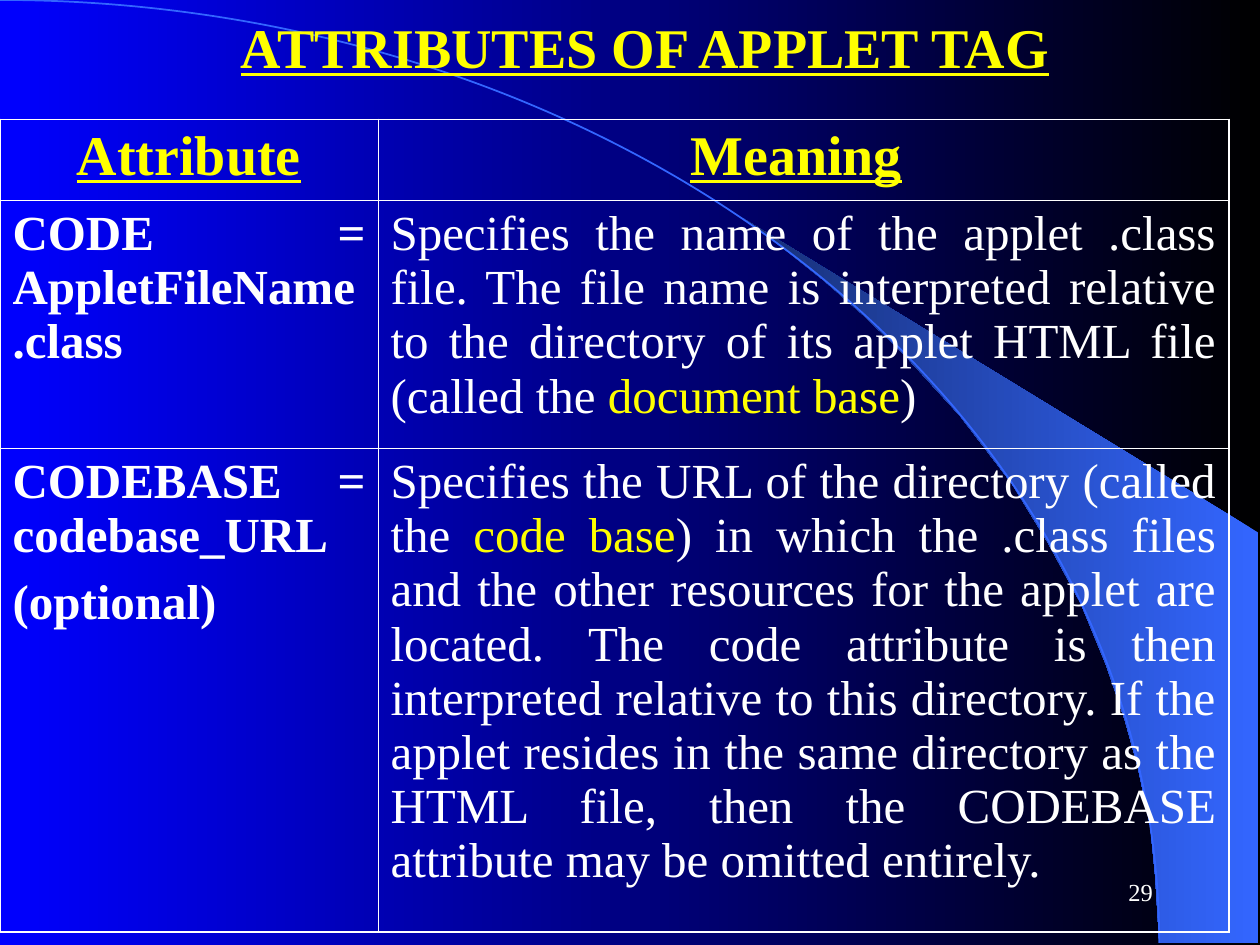
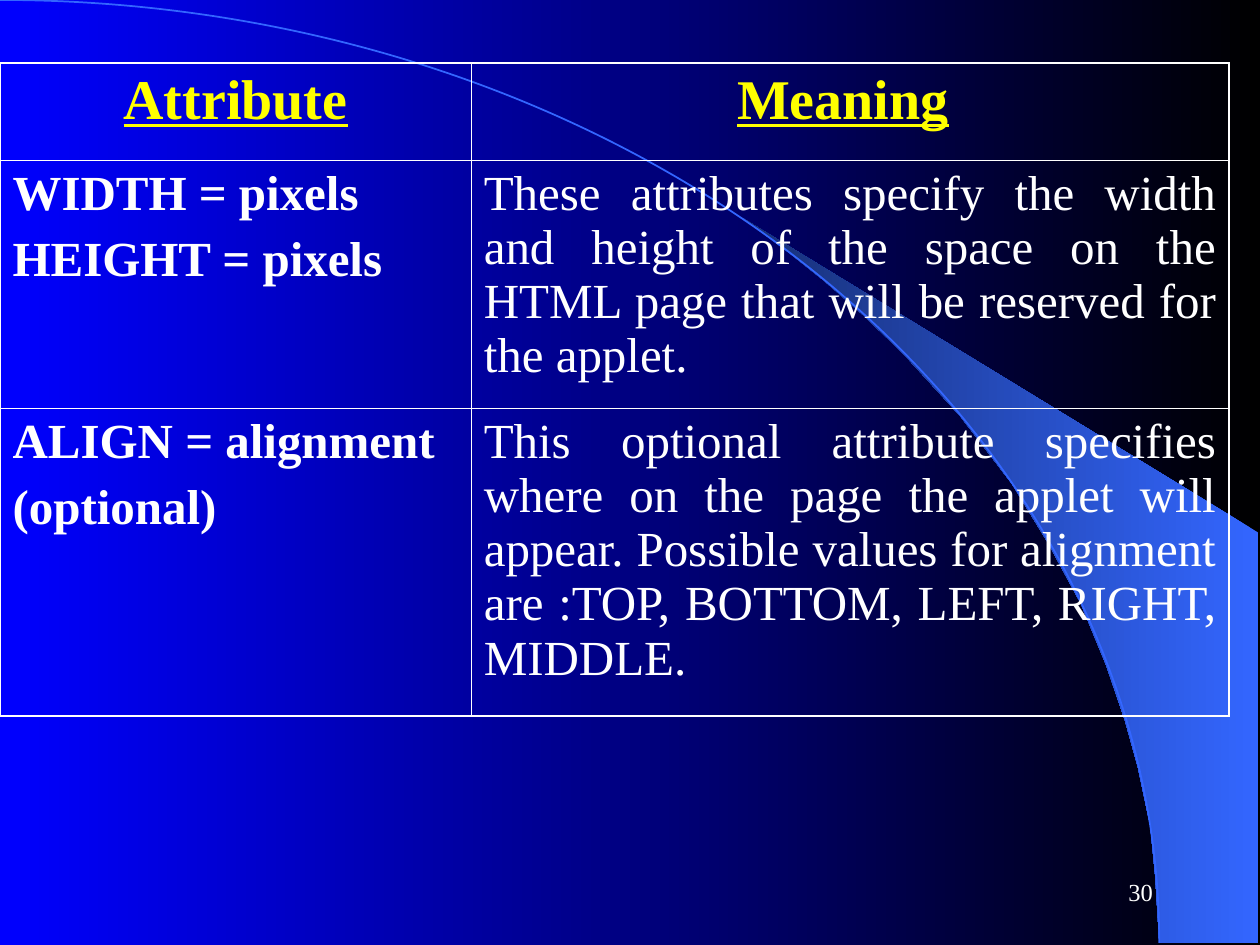
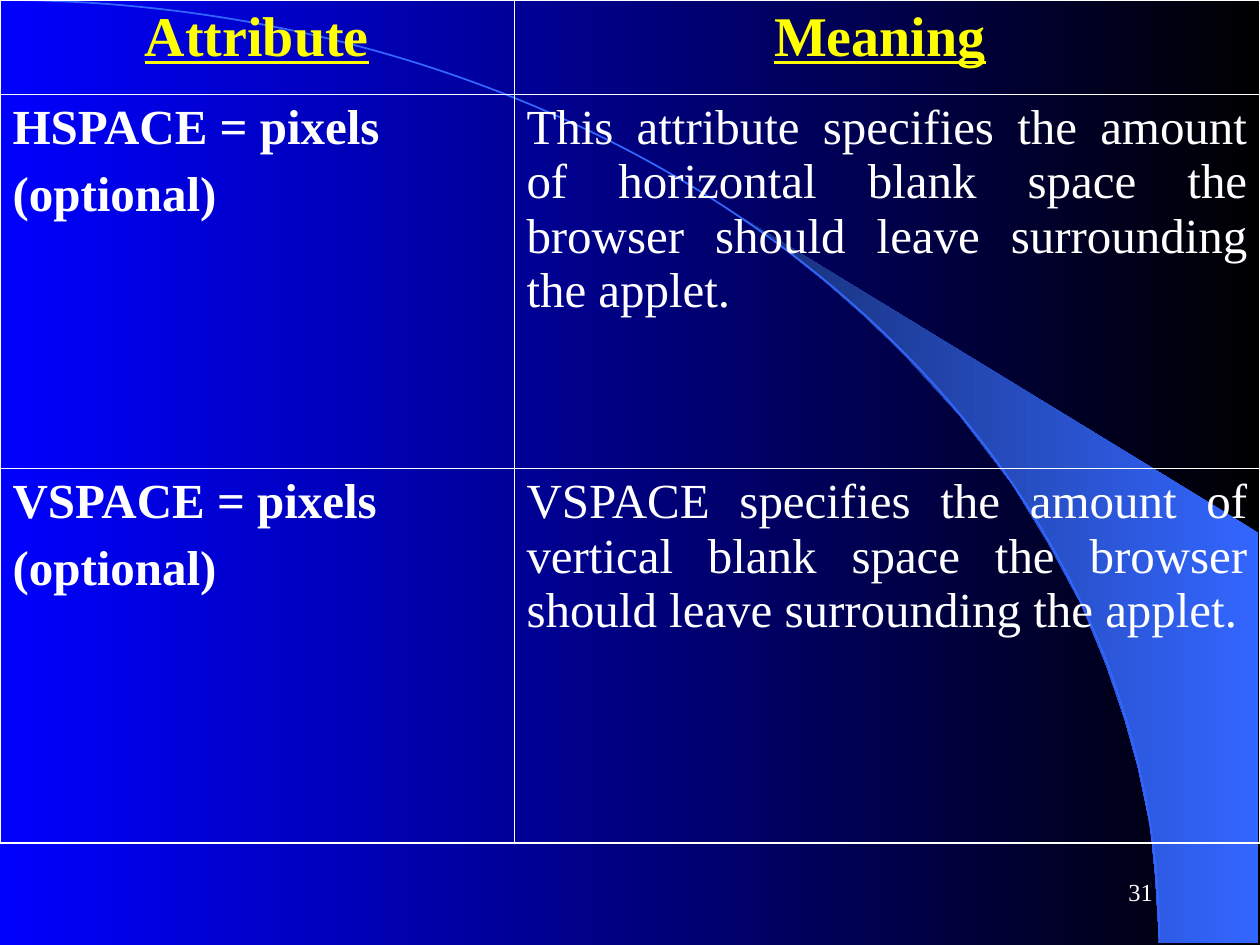
"""Build three slides on the attributes of the applet tag."""
from pptx import Presentation, oxml, util as u
from pptx.dml import color as dml
from pptx.enum import shapes, text
from pptx.oxml import ns

COLORS = {"night": "000000", "blue": "0000FF", "beam": "3366FF",
          "beam_dark": "172F75", "accent": "FFFF00", "text": "FFFFFF"}
FONT = "Times New Roman"
OUTER, INNER = 1.08, 0.45
BEAM = [(23.37, 19), (25.37, 19.02), (25.37, 10.74), (14.96, 4.39), (15.85, 5.05),
        (16.59, 5.64), (17.4, 6.35), (18.19, 7.11), (19.35, 8.38), (20.4, 9.75),
        (21.13, 10.95), (21.79, 12.17), (22.3, 13.41), (22.68, 14.53),
        (22.94, 15.47), (23.19, 16.66), (23.29, 17.68)]
HEADING = {"size": 32, "color": "accent", "bold": True, "underline": True,
           "align": text.PP_ALIGN.CENTER}
HEADER = {**HEADING, "before": 8, "alternate": {"color": "text", "underline": False}}
BODY = {"size": 28, "align": text.PP_ALIGN.JUSTIFY, "before": 7,
        "alternate": {"color": "accent"}}

SLIDES = [
    {"title": "ATTRIBUTES OF APPLET TAG", "number": 29, "top": 2.41,
     "columns": (7.62, 17.15), "heights": (1.63, 5, 9.75),
     "rows": [
         ("CODE = AppletFileName.class",
          "Specifies the name of the applet .class file. The file name is interpreted "
          "relative to the directory of its applet HTML file (called the |document base|)"),
         ("CODEBASE = codebase_URL\n(optional)",
          "Specifies the URL of the directory (called the |code base|) in which the .class "
          "files and the other resources for the applet are located. The code attribute is "
          "then interpreted relative to this directory. If the applet resides in the same "
          "directory as the HTML file, then the CODEBASE attribute may be omitted entirely.")]},
    {"number": 30, "top": 1.27, "columns": (9.5, 15.27), "heights": (1.96, 5, 6.2),
     "rows": [
         ("WIDTH = pixels\nHEIGHT = pixels",
          "These attributes specify the width and height of the space on the HTML page "
          "that will be reserved for the applet."),
         ("ALIGN = alignment\n(optional)",
          "This optional attribute specifies where on the page the applet will appear. "
          "Possible values for alignment are :TOP, BOTTOM, LEFT, RIGHT, MIDDLE.")]},
    {"number": 31, "top": 0, "columns": (10.36, 15.04), "heights": (1.91, 7.54, 7.54),
     "rows": [
         ("HSPACE = pixels\n(optional)",
          "This attribute specifies the amount of horizontal blank space the browser "
          "should leave surrounding the applet."),
         ("VSPACE = pixels\n(optional)",
          "VSPACE specifies the amount of vertical blank space the browser should leave "
          "surrounding the applet.")]},
]


def rgb(name):
    """Return the named colour."""
    return dml.RGBColor.from_string(COLORS[name])


def write(frame, content, align=None, before=0, alternate=None, **style):
    """Write one paragraph per line; every second part between bars takes the alternate style."""
    for index, line in enumerate(content.split("\n")):
        paragraph = frame.add_paragraph() if index else frame.paragraphs[0]
        paragraph.alignment = align
        paragraph.space_before = u.Pt(before)
        for part, words in enumerate(line.split("|")):
            look = {**style, **(alternate or {})} if part % 2 else style
            run = paragraph.add_run()
            run.text = words
            run.font.name = FONT
            run.font.size = u.Pt(look["size"])
            run.font.bold = look.get("bold", False)
            run.font.underline = look.get("underline", False)
            run.font.color.rgb = rgb(look.get("color", "text"))


def fill_gradient(fill, start, end):
    """Fill with a gradient that runs from right to left."""
    fill.gradient()
    fill.gradient_angle = 180
    for stop, position, name in zip(fill.gradient_stops, (0, 1), (start, end)):
        stop.position = position
        stop.color.rgb = rgb(name)


class Deck:
    """Hold the shared style and the current slide."""

    def __init__(self):
        """Set the slide size and the shared background."""
        self.presentation = Presentation()
        self.presentation.slide_width = u.Cm(25.4)
        self.presentation.slide_height = u.Cm(19.05)
        self.master = self.presentation.slide_master
        fill_gradient(self.master.background.fill, "night", "blue")
        self.slide = None

    def add_slide(self, title=None):
        """Start a slide, with a title where one is given."""
        layout = self.presentation.slide_layouts[5 if title else 6]
        self.slide = self.presentation.slides.add_slide(layout)
        if title:
            self.format_title(title)

    def format_title(self, title):
        """Place and write the title."""
        shape = self.slide.shapes.title
        shape.left, shape.top = u.Cm(3.38), u.Cm(0)
        shape.width, shape.height = u.Cm(19.25), u.Cm(1.63)
        frame = shape.text_frame
        frame.auto_size = text.MSO_AUTO_SIZE.NONE
        frame.vertical_anchor = text.MSO_ANCHOR.TOP
        frame.margin_top = u.Cm(0.25)
        write(frame, title, **HEADING)

    def decorate_master(self):
        """Draw the beam and the arc and move them to the master."""
        points = [(u.Cm(x), u.Cm(y)) for x, y in BEAM]
        builder = self.slide.shapes.build_freeform(*points[0], scale=1)
        builder.add_line_segments(points[1:], close=True)
        beam = builder.convert_to_shape()
        fill_gradient(beam.fill, "beam", "beam_dark")
        beam.line.fill.background()
        arc = self.slide.shapes.add_shape(
            shapes.MSO_SHAPE.ARC, u.Cm(-23.37), u.Cm(0), u.Cm(46.74), u.Cm(38.02))
        arc.fill.background()
        arc.line.color.rgb = rgb("beam")
        arc.line.width = u.Pt(1)
        for index, shape in enumerate((beam, arc)):
            shape.shadow.inherit = False
            shape.element.nvSpPr.cNvPr.set("id", str(100 + index))
            self.master.shapes.element.insert(2 + index, shape.element)

    def add_borders(self, cell, widths):
        """Draw the left, right, top and bottom borders of a cell."""
        properties = cell._tc.get_or_add_tcPr()
        for side, width in zip("LRTB", widths):
            properties.append(oxml.parse_xml(
                f'<a:ln{side} {ns.nsdecls("a")} w="{u.Pt(width)}"><a:solidFill>'
                f'<a:srgbClr val="{COLORS["text"]}"/></a:solidFill></a:ln{side}>'))

    def add_table(self, top, columns, heights, rows):
        """Add the table of attributes and their meanings."""
        frame = self.slide.shapes.add_table(
            len(heights), len(columns), u.Cm(0), u.Cm(top),
            u.Cm(sum(columns)), u.Cm(sum(heights)))
        table = frame.table
        table.first_row = table.horz_banding = False
        for column, width in zip(table.columns, columns):
            column.width = u.Cm(width)
        for row, height in zip(table.rows, heights):
            row.height = u.Cm(height)
        last_row, last_column = len(heights) - 1, len(columns) - 1
        for i, contents in enumerate([("Attribute", "Meaning| "), *rows]):
            for j, content in enumerate(contents):
                cell = table.cell(i, j)
                edges = (j == 0, j == last_column, i == 0, i == last_row)
                self.add_borders(cell, [OUTER if edge else INNER for edge in edges])
                cell.fill.background()
                style = {**BODY, "bold": j == 0} if i else HEADER
                write(cell.text_frame, content, **style)

    def add_number(self, number):
        """Add the slide number."""
        box = self.slide.shapes.add_textbox(u.Cm(18.21), u.Cm(17.35), u.Cm(5.28), u.Cm(1.27))
        box.text_frame.word_wrap = True
        box.text_frame.vertical_anchor = text.MSO_ANCHOR.MIDDLE
        write(box.text_frame, str(number), size=14, align=text.PP_ALIGN.RIGHT)


def main():
    """Build and save the slides."""
    deck = Deck()
    for index, content in enumerate(SLIDES):
        deck.add_slide(content.get("title"))
        if index == 0:
            deck.decorate_master()
        deck.add_table(content["top"], content["columns"], content["heights"], content["rows"])
        deck.add_number(content["number"])
    deck.presentation.save("out.pptx")


if __name__ == "__main__":
    main()
